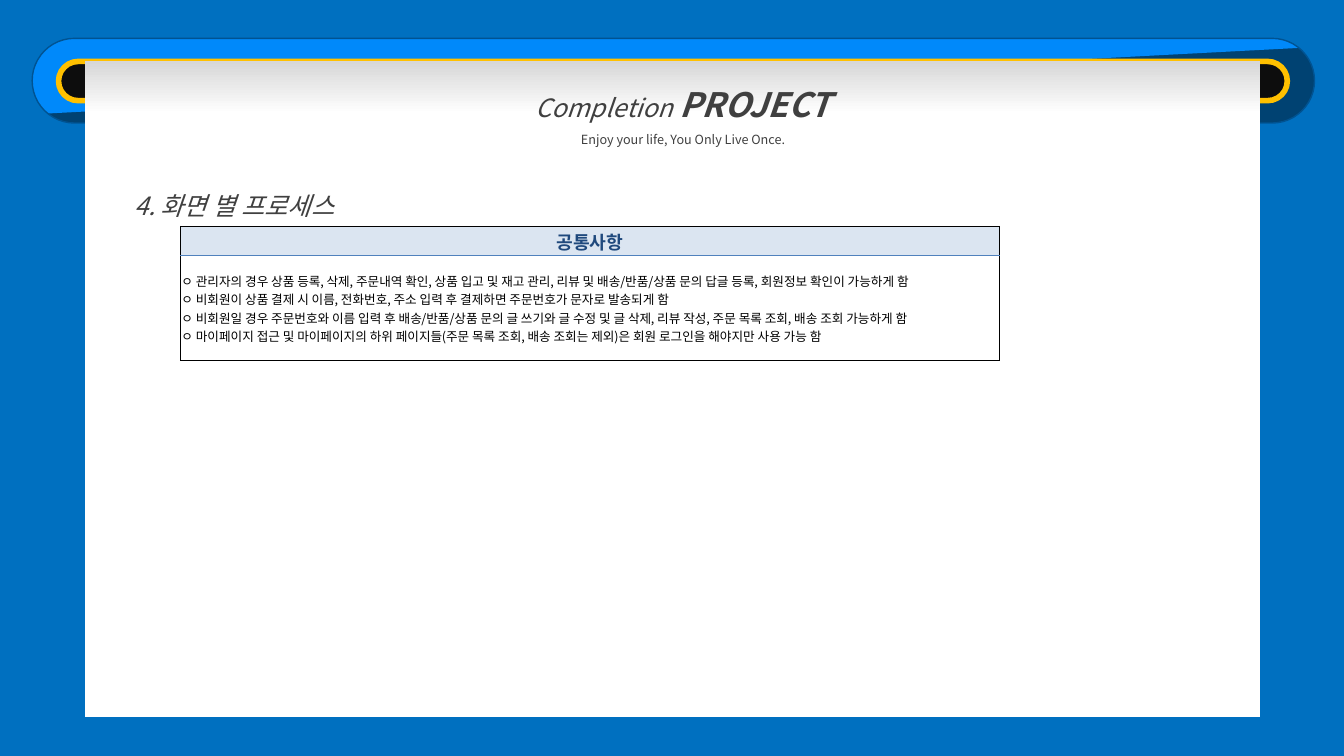
import dataclasses

import lxml.etree
import pptx
import pptx.dml.color
import pptx.enum.shapes
import pptx.enum.text
import pptx.oxml.ns
import pptx.util

Pt = pptx.util.Pt
Shape = pptx.enum.shapes.MSO_SHAPE
Align = pptx.enum.text.PP_ALIGN
Anchor = pptx.enum.text.MSO_ANCHOR
AutoSize = pptx.enum.text.MSO_AUTO_SIZE
qn = pptx.oxml.ns.qn


@dataclasses.dataclass(frozen=True)
class Theme:
    font: str = "Noto Sans CJK KR"
    backdrop: str = "0070C0"
    band_dark: str = "004272"
    band_light: str = "0089FA"
    band_edge: str = "005392"
    slot: str = "0D0D0D"
    gold: str = "FFC000"
    shade: str = "D7D7D7"
    paper: str = "FFFFFF"
    text: str = "404040"
    black: str = "000000"
    header_text: str = "1F497D"
    header_fill: str = "DBE5F1"
    rule: str = "4F81BD"
    brand_size: float = 24
    heading_size: float = 18
    header_size: float = 13
    body_size: float = 9


THEME = Theme()

COMMON_RULES = [
    "ㅇ 관리자의 경우 상품 등록, 삭제, 주문내역 확인, 상품 입고 및 재고 관리, 리뷰 및 배송/반품/상품 문의 답글 등록, 회원정보 확인이 가능하게 함",
    "ㅇ 비회원이 상품 결제 시 이름, 전화번호, 주소 입력 후 결제하면 주문번호가 문자로 발송되게 함",
    "ㅇ 비회원일 경우 주문번호와 이름 입력 후 배송/반품/상품 문의 글 쓰기와 글 수정 및 글 삭제, 리뷰 작성, 주문 목록 조회, 배송 조회 가능하게 함",
    "ㅇ 마이페이지 접근 및 마이페이지의 하위 페이지들(주문 목록 조회, 배송 조회는 제외)은 회원 로그인을 해야지만 사용 가능 함",
]


def color(value):
    return pptx.dml.color.RGBColor.from_string(value)


def apply(target, values):
    for name, value in values.items():
        setattr(target, name, value)


def add_span(para, text, size, shade=THEME.text, **values):
    span = para.add_run()
    span.text = text
    apply(span.font, {"name": THEME.font, "size": Pt(size), **values})
    span.font.color.rgb = color(shade)
    # Same face for Korean letters
    east_asian = lxml.etree.SubElement(span._r.get_or_add_rPr(), qn("a:ea"))
    east_asian.set("typeface", THEME.font)


def add_paragraphs(frame, paragraphs, **values):
    """Each paragraph is a list of (text, size, format values) spans."""
    for index, spans in enumerate(paragraphs):
        para = frame.add_paragraph() if index else frame.paragraphs[0]
        apply(para, values)
        for text, size, style in spans:
            add_span(para, text, size, **style)


def add_panel(page, kind, place, edge=None):
    panel = page.shapes.add_shape(kind, *map(Pt, place))
    panel.shadow.inherit = False
    if kind == Shape.ROUNDED_RECTANGLE:
        panel.adjustments[0] = 0.5
    if edge:
        panel.line.color.rgb = color(edge[0])
        panel.line.width = Pt(edge[1])
    else:
        panel.line.fill.background()
    return panel


def fill_gradient(panel, stops, angle):
    panel.fill.gradient()
    panel.fill.gradient_angle = angle
    for stop, (position, shade) in zip(panel.fill.gradient_stops, stops):
        stop.position = position
        stop.color.rgb = color(shade)


def add_scroll(page):
    band = add_panel(page, Shape.ROUNDED_RECTANGLE, (23, 27.4, 916, 60.5),
                     (THEME.band_edge, 1))
    fill_gradient(band, [(0.5, THEME.band_dark), (0.5, THEME.band_light)], 93)
    slot = add_panel(page, Shape.ROUNDED_RECTANGLE, (41.8, 43.9, 877.7, 28),
                     (THEME.gold, 4))
    slot.fill.solid()
    slot.fill.fore_color.rgb = color(THEME.slot)
    paper = add_panel(page, Shape.RECTANGLE, (60.5, 43.9, 839.5, 468))
    fill_gradient(paper, [(0, THEME.shade), (0.08, THEME.paper)], 270)


def add_banner(page):
    box = page.shapes.add_textbox(*map(Pt, (247.7, 41.8, 480.2, 67)))
    apply(box.text_frame, {"word_wrap": True,
                           "auto_size": AutoSize.SHAPE_TO_FIT_TEXT})
    add_paragraphs(box.text_frame, [
        [("Completion ", THEME.heading_size, {"italic": True}),
         ("PROJECT", THEME.brand_size, {"italic": True, "bold": True})],
        [("Enjoy your life, You Only Live Once.", THEME.body_size, {})],
    ], alignment=Align.CENTER, line_spacing=1.5)


def place_title(page, text):
    title = page.shapes.title
    # Bring the title in front of the paper
    title.element.getparent().append(title.element)
    apply(title, dict(zip(("left", "top", "width", "height"),
                          map(Pt, (88.6, 121.7, 779.8, 132.5)))))
    apply(title.text_frame, {"word_wrap": True, "auto_size": AutoSize.NONE,
                             "vertical_anchor": Anchor.TOP})
    add_paragraphs(title.text_frame,
                   [[(text, THEME.heading_size, {"italic": True})]],
                   alignment=Align.LEFT, line_spacing=1.5)


def set_borders(cell, borders):
    properties = cell._tc.get_or_add_tcPr()
    for side in "LRTB":
        shade, width = borders.get(side, (THEME.black, 0.5))
        line = lxml.etree.SubElement(properties, qn(f"a:ln{side}"),
                                     w=str(Pt(width)))
        solid = lxml.etree.SubElement(line, qn("a:solidFill"))
        lxml.etree.SubElement(solid, qn("a:srgbClr"), val=shade)


def format_cell(cell, borders, fill=None):
    apply(cell, {"vertical_anchor": Anchor.MIDDLE, "margin_left": Pt(0.72),
                 "margin_right": Pt(0.72), "margin_top": Pt(0.72),
                 "margin_bottom": Pt(0)})
    set_borders(cell, borders)
    if fill:
        cell.fill.solid()
        cell.fill.fore_color.rgb = color(fill)
    else:
        cell.fill.background()


def add_rules_table(page, header, rules):
    heights = (21, 75)
    table = page.shapes.add_table(
        2, 1, *map(Pt, (128.9, 161.5, 584.9, sum(heights)))).table
    apply(table, {"first_row": False, "horz_banding": False})
    for row, height in zip(table.rows, heights):
        row.height = Pt(height)
    top, body = table.cell(0, 0), table.cell(1, 0)
    divider = (THEME.rule, 1.5)
    format_cell(top, {"B": divider}, THEME.header_fill)
    format_cell(body, {"T": divider})
    header_style = {"shade": THEME.header_text, "bold": True}
    add_paragraphs(top.text_frame,
                   [[(header, THEME.header_size, header_style)]],
                   alignment=Align.CENTER)
    add_paragraphs(body.text_frame,
                   [[(rule, THEME.body_size, {"shade": THEME.black})]
                    for rule in rules], alignment=Align.LEFT)


def main():
    deck = pptx.Presentation()
    apply(deck, {"slide_width": Pt(960), "slide_height": Pt(540)})
    page = deck.slides.add_slide(deck.slide_layouts[5])

    # Backdrop and paper
    page.background.fill.solid()
    page.background.fill.fore_color.rgb = color(THEME.backdrop)
    add_scroll(page)

    # Headings
    add_banner(page)
    place_title(page, "4. 화면 별 프로세스")

    # Common rules
    add_rules_table(page, "공통사항", COMMON_RULES)

    deck.save("out.pptx")


if __name__ == "__main__":
    main()
